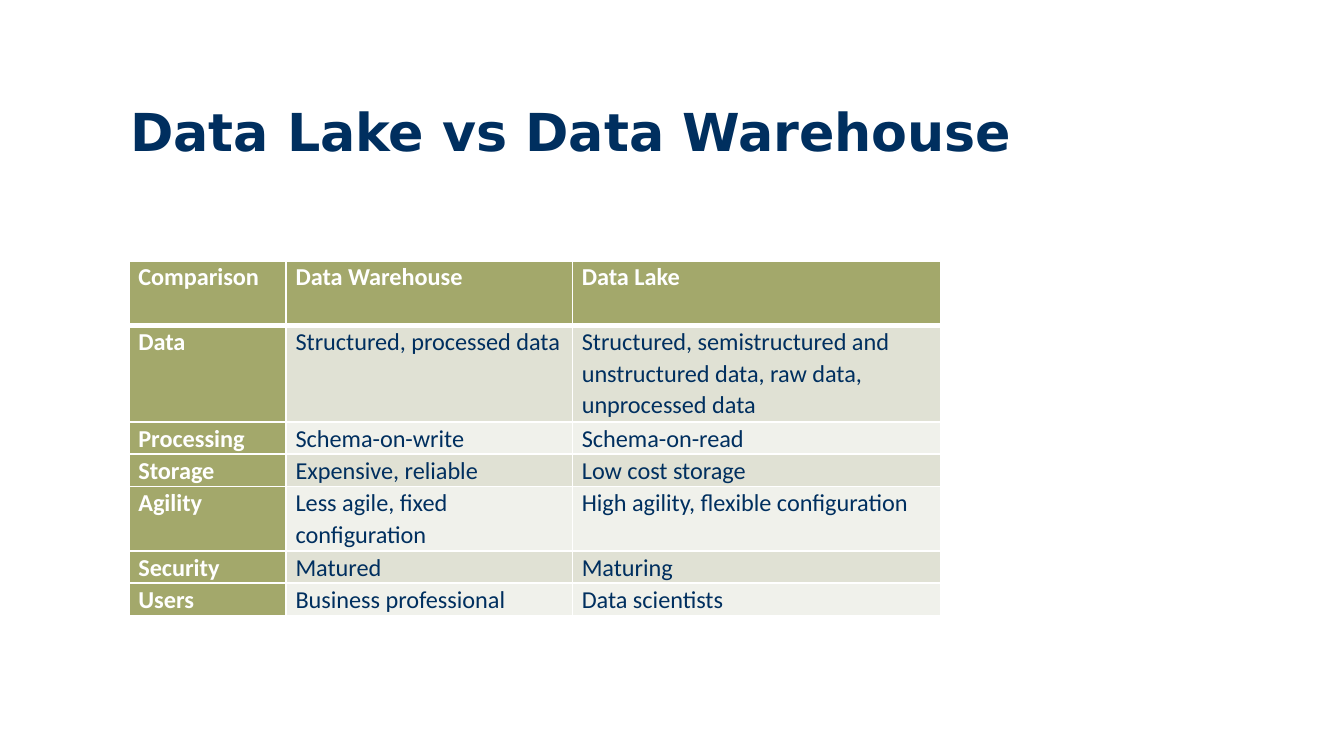
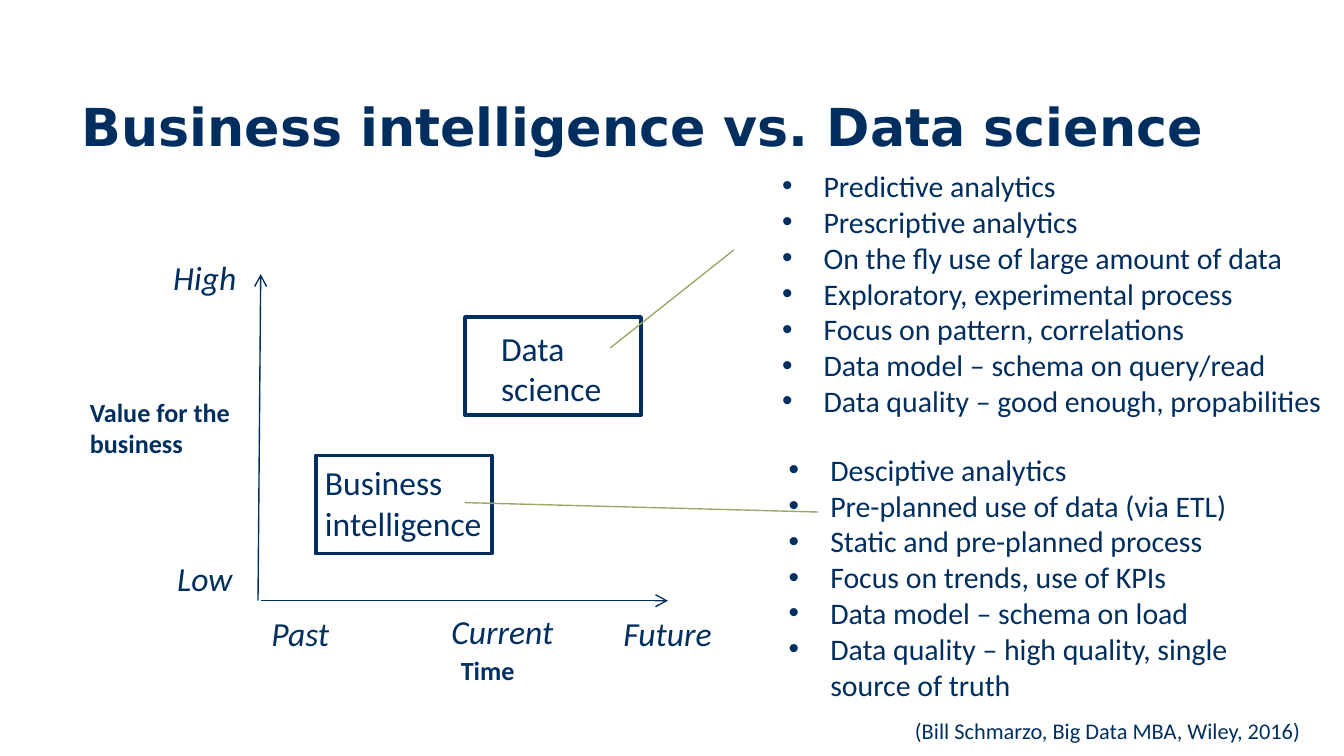
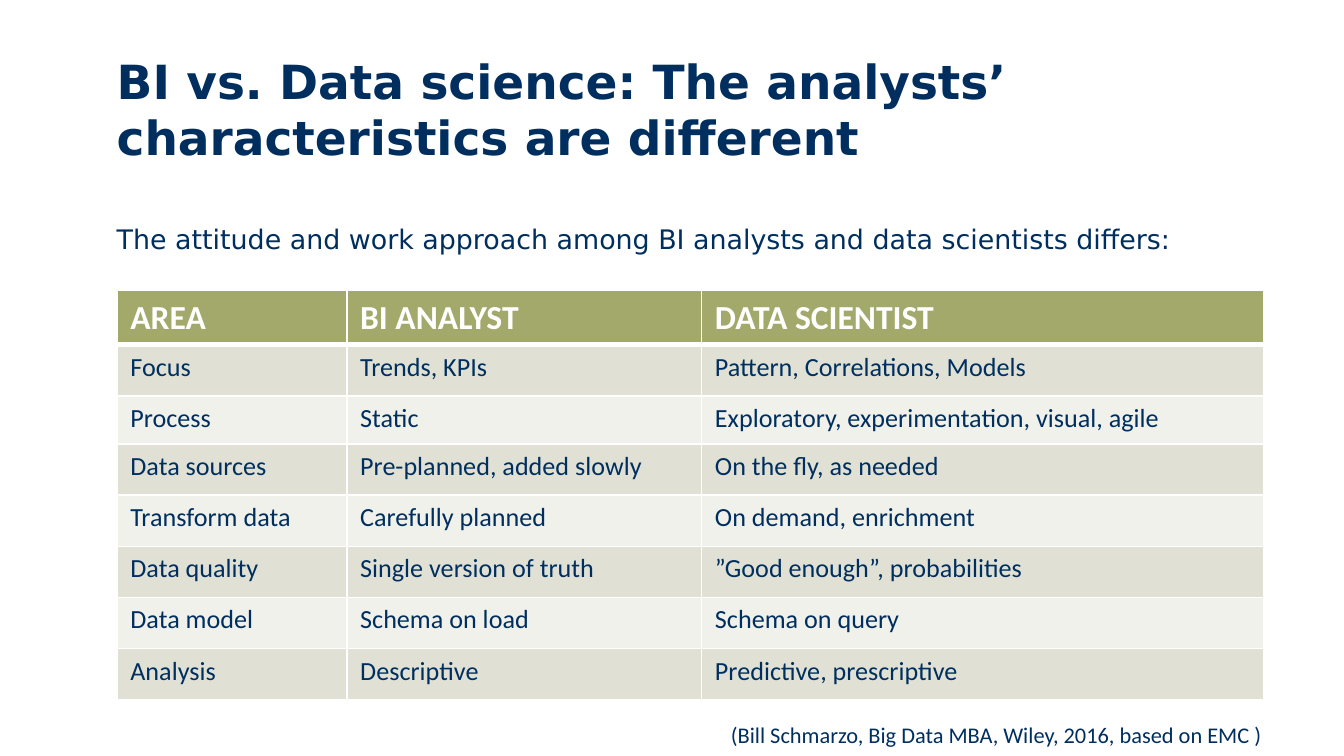
from dataclasses import dataclass

from lxml import etree
from pptx import Presentation
from pptx.dml.color import RGBColor
from pptx.enum.shapes import MSO_CONNECTOR, MSO_SHAPE
from pptx.enum.text import MSO_AUTO_SIZE
from pptx.oxml.ns import qn
from pptx.util import Inches, Pt

STRAIGHT = MSO_CONNECTOR.STRAIGHT
RECTANGLE = MSO_SHAPE.RECTANGLE
GROW, FIXED = MSO_AUTO_SIZE.SHAPE_TO_FIT_TEXT, MSO_AUTO_SIZE.NONE


@dataclass(frozen=True)
class Theme:
    navy: str = "002F5F"
    axis: str = "002E5D"
    olive: str = "A3A86B"
    pointer: str = "A1A667"
    dark_band: str = "E0E1D4"
    light_band: str = "F0F1EB"
    white: str = "FFFFFF"
    title_font: str = "DejaVu Sans"
    body_font: str = "Calibri"
    bullet_font: str = "Arial"
    title: float = 28
    long_title: float = 25.2
    subtitle: float = 14.4
    large: float = 18
    bullet: float = 16
    medium: float = 14
    compact: float = 13
    source: float = 12


THEME = Theme()


def rgb(value):
    return RGBColor.from_string(value)


def set_font(paragraph, size, color=THEME.navy, name=THEME.body_font, bold=False, italic=False):
    font = paragraph.font
    font.name, font.size, font.bold, font.italic = name, Pt(size), bold, italic
    font.color.rgb = rgb(color)


def set_bullet(paragraph):
    properties = paragraph._p.get_or_add_pPr()
    properties.set("marL", str(Inches(0.31)))
    properties.set("indent", str(Inches(-0.31)))
    etree.SubElement(properties, qn("a:buFont"), typeface=THEME.bullet_font)
    etree.SubElement(properties, qn("a:buChar"), char="•")


def set_border(cell, side, width):
    line = etree.SubElement(cell._tc.get_or_add_tcPr(), qn(f"a:ln{side}"), w=str(Pt(width)))
    fill = etree.SubElement(line, qn("a:solidFill"))
    etree.SubElement(fill, qn("a:srgbClr"), val=THEME.white)


class Deck:
    """Build slides in one shared style."""

    def __init__(self):
        self.presentation = Presentation()
        self.presentation.slide_width = Inches(10)
        self.presentation.slide_height = Inches(10) * 9 // 16
        self.slide = None

    def add_slide(self):
        self.slide = self.presentation.slides.add_slide(self.presentation.slide_layouts[6])

    def text(self, lines, at, size, wrap=True, bulleted=False, **style):
        box = self.slide.shapes.add_textbox(*map(Inches, at))
        frame = box.text_frame
        frame.word_wrap, frame.auto_size = wrap, GROW
        frame.text = "\n".join(lines)
        for paragraph in frame.paragraphs:
            if bulleted:
                set_bullet(paragraph)
            set_font(paragraph, size, **style)
        return frame

    def title(self, title, at, size=THEME.title, subtitle=None):
        lines = [title, subtitle] if subtitle else [title]
        frame = self.text(lines, at, size, name=THEME.title_font, bold=True)
        frame.auto_size = FIXED
        if subtitle:
            paragraph = frame.paragraphs[1]
            paragraph.space_before = Pt(30.5)
            set_font(paragraph, THEME.subtitle, name=THEME.title_font)

    def source(self, citation, at):
        self.text([citation], at, THEME.source, wrap=False)

    def outline(self, left, top):
        box = self.slide.shapes.add_shape(
            RECTANGLE, Inches(left), Inches(top), Inches(1.31), Inches(0.73))
        box.shadow.inherit = False
        box.fill.solid()
        box.fill.fore_color.rgb = rgb(THEME.white)
        box.line.color.rgb = rgb(THEME.navy)
        box.line.width = Pt(2)

    def line(self, start, end, color, arrow=False):
        connector = self.slide.shapes.add_connector(STRAIGHT, *map(Inches, start + end))
        connector.line.color.rgb = rgb(color)
        connector.line.width = Pt(0.75)
        if arrow:
            etree.SubElement(connector.line._get_or_add_ln(), qn("a:headEnd"), type="arrow")
        etree.SubElement(connector._element.spPr, qn("a:effectLst"))

    def table(self, rows, at, widths, heights, header_size, body_size,
              compact=False, label_column=False):
        frame = self.slide.shapes.add_table(
            len(rows), len(widths), *map(Inches, at + (sum(widths), sum(heights))))
        table = frame.table
        table.first_col = label_column
        for column, width in zip(table.columns, widths):
            column.width = Inches(width)
        for row, height in zip(table.rows, heights):
            row.height = Inches(height)
        for row_index, values in enumerate(rows):
            band = THEME.dark_band if row_index % 2 else THEME.light_band
            for column_index, value in enumerate(values):
                header = row_index == 0
                strong = header or (label_column and column_index == 0)
                cell = table.cell(row_index, column_index)
                cell.text = value
                if compact:
                    cell.margin_left = cell.margin_right = Inches(0.07)
                    cell.margin_top = cell.margin_bottom = 0
                for side in "LRTB":
                    thick = (side == "B" and header) or (side == "T" and row_index == 1)
                    set_border(cell, side, 3 if thick else 1)
                cell.fill.solid()
                cell.fill.fore_color.rgb = rgb(THEME.olive if strong else band)
                paragraph = cell.text_frame.paragraphs[0]
                if compact:
                    paragraph.line_spacing = 1.07
                set_font(paragraph, header_size if header else body_size,
                         THEME.white if strong else THEME.navy, bold=strong)


def lake_slide(deck):
    deck.add_slide()
    deck.title("Data Lake vs Data Warehouse", (0.87, 0.69, 7.49, 0.65))
    rows = [
        ("Comparison", "Data Warehouse", "Data Lake"),
        ("Data", "Structured, processed data",
         "Structured, semistructured and unstructured data, raw data, unprocessed data"),
        ("Processing", "Schema-on-write", "Schema-on-read"),
        ("Storage", "Expensive, reliable", "Low cost storage"),
        ("Agility", "Less agile, fixed configuration", "High agility, flexible configuration"),
        ("Security", "Matured", "Maturing"),
        ("Users", "Business professional", "Data scientists"),
    ]
    text_lines = [2, 3, 1, 1, 2, 1, 1]
    deck.table(rows, (0.96, 1.94), [1.17, 2.13, 2.74], [0.24 * count for count in text_lines],
               THEME.compact, THEME.compact, compact=True, label_column=True)


def value_slide(deck):
    deck.add_slide()
    deck.outline(2.35, 3.39)
    deck.title("Business intelligence vs. Data science", (0.51, 0.65, 8.67, 0.65))
    deck.line((1.94, 2.04), (1.92, 4.47), THEME.axis, arrow=True)
    deck.line((4.97, 4.47), (1.94, 4.47), THEME.axis, arrow=True)
    deck.text(["Value for the business"], (0.57, 2.9, 1.25, 0.57), THEME.medium, bold=True)
    axis_labels = [
        ("High", 1.19, 1.86, 0.81), ("Low", 1.22, 4.1, 0.81),
        ("Past", 1.92, 4.51, 1.22), ("Current", 3.26, 4.5, 1.22), ("Future", 4.54, 4.51, 1.22),
    ]
    for label, left, top, width in axis_labels:
        deck.text([label], (left, top, width, 0.4), THEME.large, italic=True)
    deck.text(["Business intelligence"], (2.32, 3.39, 1.66, 0.71), THEME.large)
    deck.outline(3.46, 2.36)
    deck.text(["Data science"], (3.63, 2.39, 1.34, 0.71), THEME.large)
    deck.line((4.54, 2.59), (5.46, 1.86), THEME.pointer)
    science = [
        "Predictive analytics",
        "Prescriptive analytics",
        "On the fly use of large amount of data",
        "Exploratory, experimental process",
        "Focus on pattern, correlations",
        "Data model – schema on query/read",
        "Data quality – good enough, propabilities",
    ]
    intelligence = [
        "Desciptive analytics",
        "Pre-planned use of data (via ETL)",
        "Static and pre-planned process",
        "Focus on trends, use of KPIs",
        "Data model – schema on load",
        "Data quality – high quality, single source of truth",
    ]
    deck.text(science, (5.72, 1.2, 4.28, 2.26), THEME.bullet, bulleted=True)
    deck.text(intelligence, (5.77, 3.31, 4.04, 1.99), THEME.bullet, bulleted=True)
    deck.line((3.46, 3.74), (6.09, 3.81), THEME.pointer)
    deck.source("(Bill Schmarzo, Big Data MBA, Wiley, 2016)", (6.71, 5.29, 3.1, 0.3))
    deck.text(["Time"], (3.33, 4.82, 1.69, 0.34), THEME.medium, bold=True)


def analyst_slide(deck):
    deck.add_slide()
    deck.title("BI vs. Data science: The analysts’ characteristics are different",
               (0.77, 0.34, 9.13, 0.65), THEME.long_title,
               "The attitude and work approach among BI analysts and data scientists differs:")
    rows = [
        ("AREA", "BI ANALYST", "DATA SCIENTIST"),
        ("Focus", "Trends, KPIs", "Pattern, Correlations, Models"),
        ("Process", "Static", "Exploratory, experimentation, visual, agile"),
        ("Data sources", "Pre-planned, added slowly", "On the fly, as needed"),
        ("Transform data", "Carefully planned", "On demand, enrichment"),
        ("Data quality", "Single version of truth", "”Good enough”, probabilities"),
        ("Data model", "Schema on load", "Schema on query"),
        ("Analysis", "Descriptive", "Predictive, prescriptive"),
    ]
    deck.table(rows, (0.87, 2.16), [1.71, 2.64, 4.18], [0.38, 0.38, 0.36] + [0.38] * 5,
               THEME.large, THEME.medium)
    deck.source("(Bill Schmarzo, Big Data MBA, Wiley, 2016, based on EMC )",
                (5.34, 5.32, 4.2, 0.3))


def main():
    deck = Deck()
    lake_slide(deck)
    value_slide(deck)
    analyst_slide(deck)
    deck.presentation.save("out.pptx")


if __name__ == "__main__":
    main()
